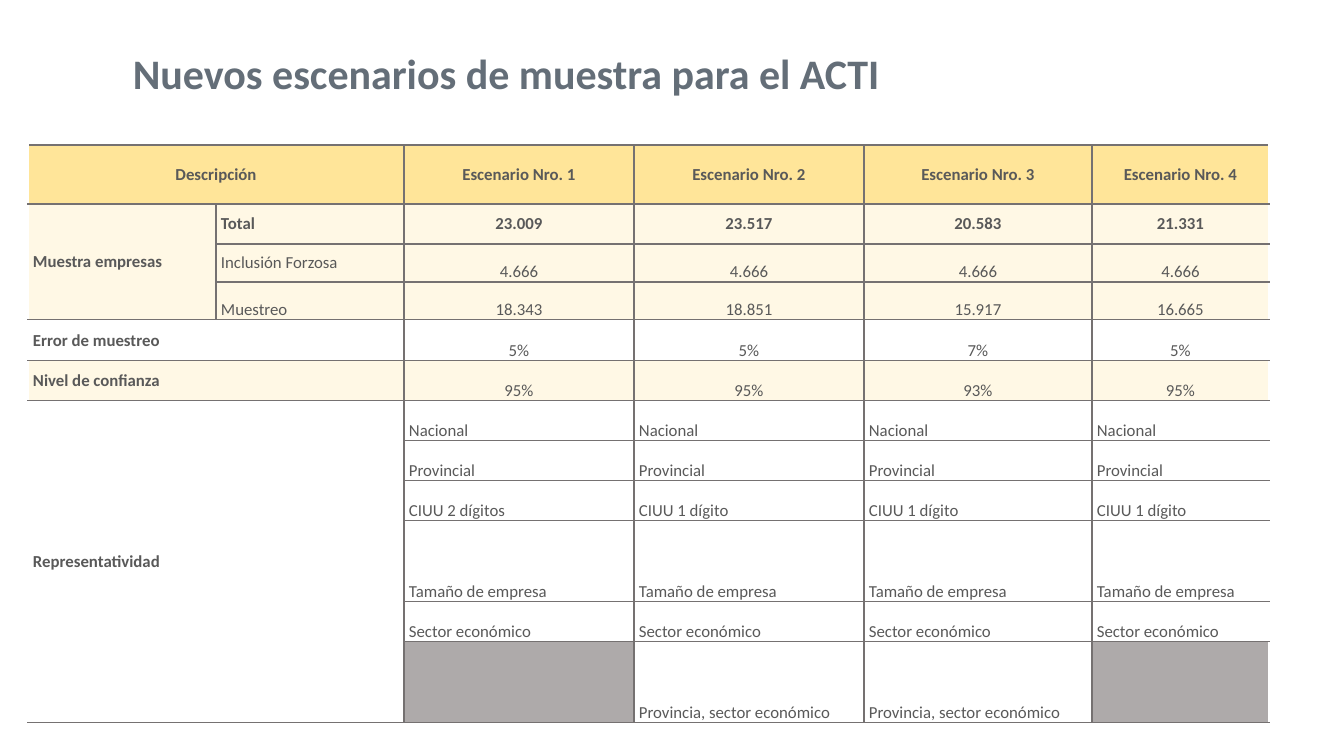
from lxml import etree
from pptx import Presentation
from pptx import util as u
from pptx.dml.color import RGBColor
from pptx.enum import text
from pptx.oxml import ns

PX = u.Inches(1) / 100.8
MIDDLE, BOTTOM = text.MSO_ANCHOR.MIDDLE, text.MSO_ANCHOR.BOTTOM
LEFT, CENTER = text.PP_ALIGN.LEFT, text.PP_ALIGN.CENTER

GOLD, CREAM, WHITE, GREY = "FFE599", "FFF8E5", "FFFFFF", "AEAAAA"
COLUMNS = [188, 188, 230, 230, 228, 177]
# height, fill, labels of the first two columns, values of the four scenarios
ROWS = [
    (59, GOLD, ["Descripción", ""], [f"Escenario Nro. {n}" for n in range(1, 5)]),
    (40, CREAM, ["Muestra empresas", "Total"], ["23.009", "23.517", "20.583", "21.331"]),
    (38, CREAM, ["", "Inclusión Forzosa"], ["4.666"] * 4),
    (38, CREAM, ["", "Muestreo"], ["18.343", "18.851", "15.917", "16.665"]),
    (41, WHITE, ["Error de muestreo", ""], ["5%", "5%", "7%", "5%"]),
    (40, CREAM, ["Nivel de confianza", ""], ["95%", "95%", "93%", "95%"]),
    (40, WHITE, ["Representatividad", ""], ["Nacional"] * 4),
    (40, WHITE, ["", ""], ["Provincial"] * 4),
    (40, WHITE, ["", ""], ["CIUU 2 dígitos"] + ["CIUU 1 dígito"] * 3),
    (81, WHITE, ["", ""], ["Tamaño de empresa"] * 4),
    (40, WHITE, ["", ""], ["Sector económico"] * 4),
    (81, WHITE, ["", ""], ["", "Provincia, sector económico", "Provincia, sector económico", ""]),
]
# first cell and last cell, each as (row, column)
MERGES = [((0, 0), (0, 1)), ((1, 0), (3, 0)), ((4, 0), (4, 1)), ((5, 0), (5, 1)), ((6, 0), (11, 1))]
MUESTREO, REPRESENTATIVIDAD = 3, 6


def px(n):
    return u.Emu(round(n * PX))


def rgb(color):
    return RGBColor.from_string(color)


class Deck:
    font, ink, line = "Calibri", "595959", "757171"

    def __init__(self, width, height):
        self.prs = Presentation()
        self.prs.slide_width, self.prs.slide_height = px(width), px(height)
        self.s = self.prs.slides.add_slide(self.prs.slide_layouts[6])

    def put_text(self, tf, words, size=12, bold=False, color=None, align=LEFT, spacing=None):
        p = tf.paragraphs[0]
        p.alignment, p.line_spacing = align, spacing
        r = p.add_run()
        r.text = words
        r.font.name, r.font.size, r.font.bold = self.font, u.Pt(size), bold
        r.font.color.rgb = rgb(color or self.ink)

    def text_box(self, x, y, w, h, words, **fmt):
        tf = self.s.shapes.add_textbox(px(x), px(y), px(w), px(h)).text_frame
        tf.word_wrap, tf.vertical_anchor = True, MIDDLE
        self.put_text(tf, words, **fmt)

    def table(self, x, y, widths, heights, merges):
        frame = self.s.shapes.add_table(len(heights), len(widths), px(x), px(y),
                                        px(sum(widths)), px(sum(heights)))
        table = frame.table
        table.first_row = table.horz_banding = False
        for column, width in zip(table.columns, widths):
            column.width = px(width)
        for row, height in zip(table.rows, heights):
            row.height = px(height)
        for first, last in merges:
            table.cell(*first).merge(table.cell(*last))
        return table

    def borders(self, cell, sides):
        """Rule the given sides (letters of L, R, T, B); call before the fill is set."""
        tc_pr = cell._tc.get_or_add_tcPr()
        for side in sides:
            ln = etree.SubElement(tc_pr, ns.qn(f"a:ln{side}"), w=str(u.Pt(1)))
            fill = etree.SubElement(ln, ns.qn("a:solidFill"))
            etree.SubElement(fill, ns.qn("a:srgbClr"), val=self.line)

    def cell(self, cell, words, fill, sides, anchor, **fmt):
        cell.margin_left = cell.margin_right = px(5)
        cell.margin_top = cell.margin_bottom = 0
        cell.vertical_anchor = anchor
        self.borders(cell, sides)
        cell.fill.solid()
        cell.fill.fore_color.rgb = rgb(fill)
        if words:
            self.put_text(cell.text_frame, words, **fmt)


def main():
    deck = Deck(1344, 756)
    deck.text_box(123, 47, 796, 58, "Nuevos escenarios de muestra para el ACTI",
                  size=30, bold=True, color="646E78", spacing=0.9)

    table = deck.table(28, 145, COLUMNS, [row[0] for row in ROWS], MERGES)
    last = len(COLUMNS) - 1
    for i, (_, fill, labels, values) in enumerate(ROWS):
        for j, words in enumerate(labels + values):
            cell = table.cell(i, j)
            if cell.is_spanned:
                continue
            is_value = j >= len(labels)
            low = i > 1 and is_value or (i == MUESTREO and j == 1)
            centered = i == 0 or (is_value and i < REPRESENTATIVIDAD)
            sides = ("L" if j else "") + ("R" if j < last else "") + "TB"
            deck.cell(cell, words, fill if words else GREY, sides,
                      BOTTOM if low else MIDDLE,
                      bold=i < 2 or j == 0, align=CENTER if centered else LEFT)

    deck.prs.save("out.pptx")


if __name__ == "__main__":
    main()
